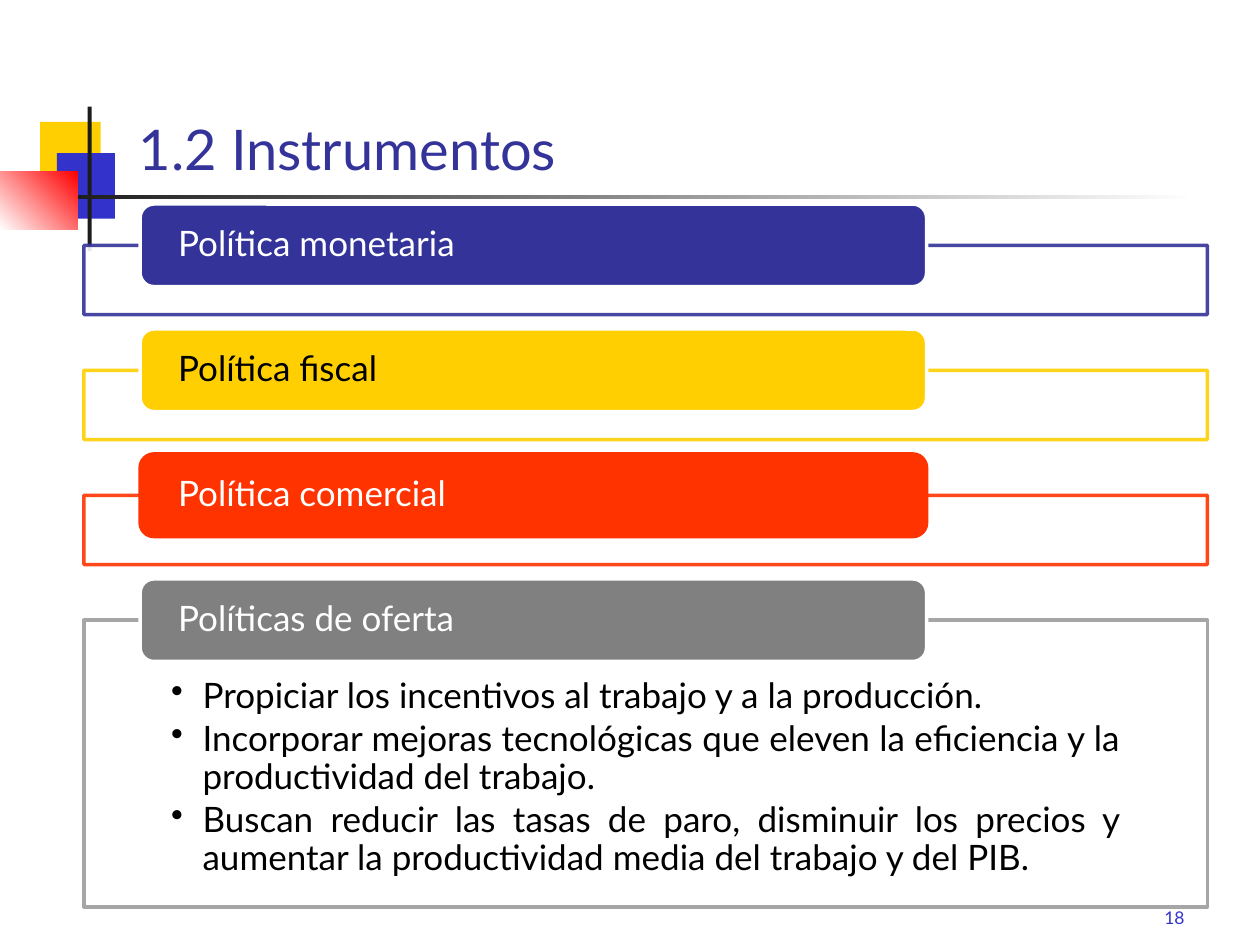
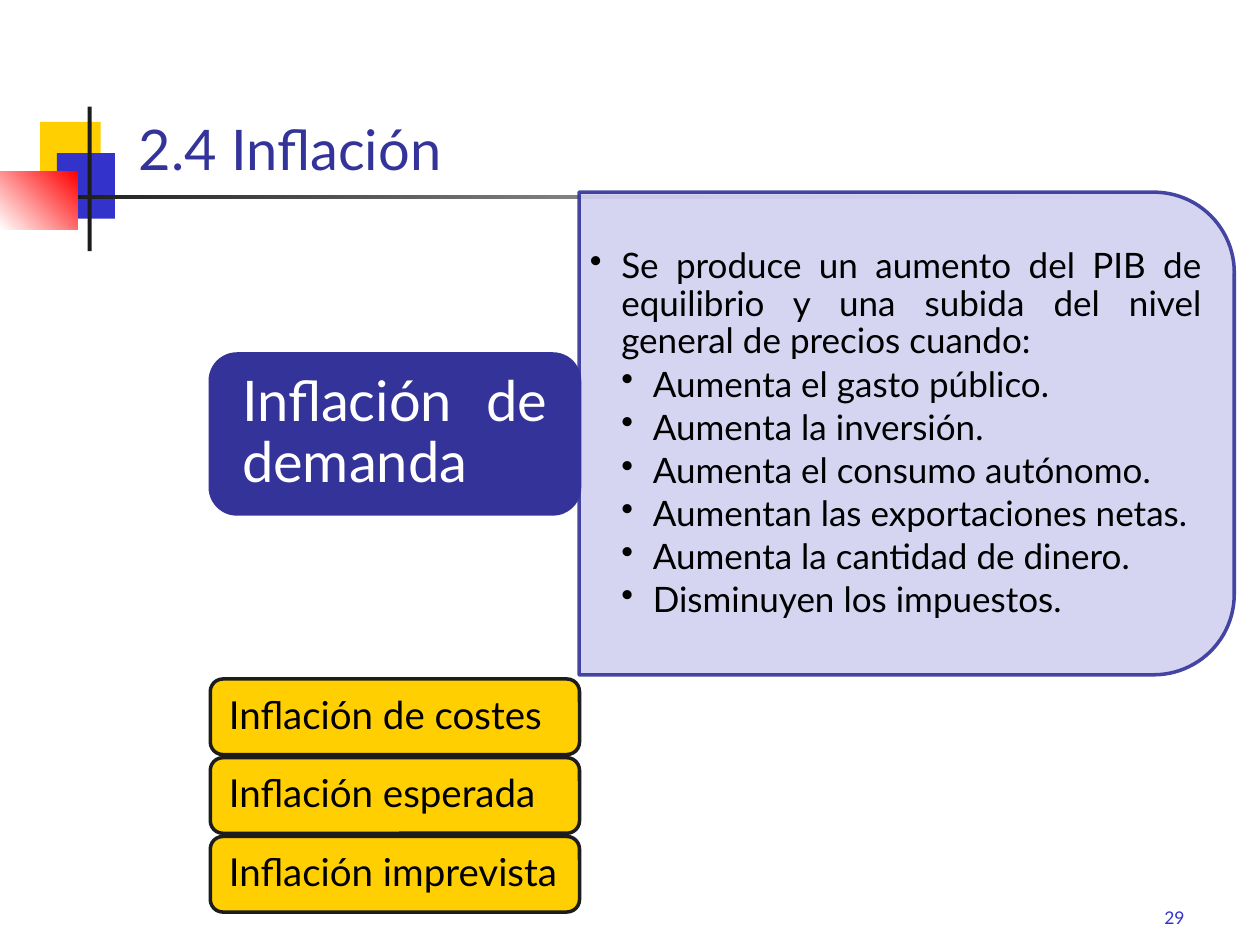
from pptx import Presentation
from pptx.dml.color import RGBColor
from pptx.enum.shapes import MSO_SHAPE
from pptx.enum.text import MSO_ANCHOR, MSO_AUTO_SIZE, PP_ALIGN
from pptx.oxml.ns import qn
from pptx.util import Pt
from lxml import etree

RECT = MSO_SHAPE.RECTANGLE
ROUNDED = MSO_SHAPE.ROUNDED_RECTANGLE
TWO_ROUNDED = MSO_SHAPE.ROUND_2_SAME_RECTANGLE
TOP, MIDDLE, BOTTOM = MSO_ANCHOR.TOP, MSO_ANCHOR.MIDDLE, MSO_ANCHOR.BOTTOM
LEFT, RIGHT, JUSTIFY = PP_ALIGN.LEFT, PP_ALIGN.RIGHT, PP_ALIGN.JUSTIFY
NO_AUTOFIT = MSO_AUTO_SIZE.NONE

WHITE = RGBColor(0xFF, 0xFF, 0xFF)
BLACK = RGBColor(0, 0, 0)
INK = RGBColor(0x1C, 0x1C, 0x1C)
NAVY = RGBColor(0x33, 0x33, 0x99)
BLUE = RGBColor(0x33, 0x33, 0xCC)
LAVENDER = RGBColor(0xD1, 0xD1, 0xF0)
YELLOW = RGBColor(0xFF, 0xCF, 0x01)
ORANGE = RGBColor(0xFF, 0x33, 0x00)
RED = RGBColor(0xFF, 0, 0)
GRAY = RGBColor(0x80, 0x80, 0x80)
SILVER = RGBColor(0xA6, 0xA6, 0xA6)
FONT = "Lato"
BULLET_INDENT = 18


def write(shape, lines, size=20, color=BLACK, align=JUSTIFY, anchor=MIDDLE,
          insets=(7.2, 3.6, 7.2, 3.6), spacing=0.9, after=0, bulleted=False):
    frame = shape.text_frame
    frame.word_wrap = True
    frame.auto_size = NO_AUTOFIT
    frame.vertical_anchor = anchor
    frame.margin_left, frame.margin_top, frame.margin_right, frame.margin_bottom = map(Pt, insets)
    for index, (level, text) in enumerate(lines):
        paragraph = frame.add_paragraph() if index else frame.paragraphs[0]
        paragraph.alignment = align
        paragraph.line_spacing = spacing
        paragraph.space_after = Pt(after)
        if bulleted:
            paragraph.level = level
            properties = paragraph._p.get_or_add_pPr()
            properties.set("marL", str(Pt(BULLET_INDENT * level)))
            properties.set("indent", str(-Pt(BULLET_INDENT)))
            etree.SubElement(properties, qn("a:buChar")).set("char", "•")
        run = paragraph.add_run()
        run.text = text
        run.font.size = Pt(size)
        run.font.name = FONT
        run.font.color.rgb = color


def block(slide, preset, box, fill=None, line=None, opacity=100, gradient=None):
    shape = slide.shapes.add_shape(preset, *map(Pt, box))
    shape.shadow.inherit = False
    if gradient:
        start, end, angle = gradient
        shape.fill.gradient()
        shape.fill.gradient_angle = angle
        for stop, color in zip(shape.fill.gradient_stops, (start, end)):
            stop.color.rgb = color
    elif fill is None:
        shape.fill.background()
    else:
        shape.fill.solid()
        shape.fill.fore_color.rgb = fill
    if line is None:
        shape.line.fill.background()
    else:
        shape.line.color.rgb = line
        shape.line.width = Pt(2)
    if opacity < 100:
        for color in shape._element.spPr.iter(qn("a:srgbClr")):
            etree.SubElement(color, qn("a:alpha")).set("val", str(opacity * 1000))
    return shape


deck = Presentation()
deck.slide_width, deck.slide_height = Pt(720), Pt(540)
slides = []

for heading, number in (("1.2 Instrumentos", "18"), ("2.4 Inflación", "29")):
    slide = deck.slides.add_slide(deck.slide_layouts[5])
    slides.append(slide)
    block(slide, RECT, (23, 69.6, 34.5, 37.5), YELLOW)
    block(slide, RECT, (32.6, 87.5, 33.1, 37.5), BLUE)
    block(slide, RECT, (50, 61, 2.4, 82.6), INK)
    block(slide, RECT, (36, 111.5, 648, 2.3), gradient=(INK, WHITE, 0))
    block(slide, RECT, (0, 97.8, 44.4, 33.4), gradient=(WHITE, RED, 45))

    page = slide.shapes.add_textbox(Pt(534), Pt(498), Pt(150), Pt(36))
    write(page, [(0, number)], size=10, color=BLUE, align=RIGHT, anchor=BOTTOM, spacing=1.0)

    title = slide.shapes.title
    title.left, title.top, title.width, title.height = Pt(72), Pt(24), Pt(612), Pt(84)
    write(title, [(0, heading)], size=32, color=NAVY, align=LEFT, anchor=BOTTOM)

instruments, inflation = slides

supply_measures = [
    (1, "Propiciar los incentivos al trabajo y a la producción."),
    (1, "Incorporar mejoras tecnológicas que eleven la eficiencia y la productividad del trabajo."),
    (1, "Buscan reducir las tasas de paro, disminuir los precios y aumentar la "
        "productividad media del trabajo y del PIB."),
]
policies = [
    ("Política monetaria", NAVY, NAVY, WHITE, WHITE, []),
    ("Política fiscal", YELLOW, YELLOW, WHITE, BLACK, []),
    ("Política comercial", ORANGE, ORANGE, ORANGE, WHITE, []),
    ("Políticas de oferta", GRAY, SILVER, WHITE, WHITE, supply_measures),
]
for index, (policy, fill, frame_line, label_line, text_color, measures) in enumerate(policies):
    top = 140.2 + 71.4 * index
    if measures:
        panel = block(instruments, RECT, (48, top, 642, 163.8), line=frame_line)
        write(panel, measures, anchor=TOP, insets=(49.8, 33.3, 49.8, 11.4), after=3, bulleted=True)
    else:
        panel = block(instruments, RECT, (48, top, 642, 39.6), WHITE, frame_line, opacity=90)
        panel.line.color.rgb = frame_line
    label = block(instruments, ROUNDED, (80.1, top - 23.6, 449.4, 47.2), fill, label_line)
    write(label, [(0, policy)], color=text_color, insets=(19.4, 0, 19.4, 0))

demand_panel = block(inflation, TWO_ROUNDED, (380.2, 60.5, 275.8, 374.4), LAVENDER, NAVY, opacity=90)
demand_panel.rotation = 90
demand_causes = inflation.shapes.add_textbox(Pt(331.2), Pt(123.8), Pt(361.4), Pt(248.4))
write(demand_causes, [
    (1, "Se produce un aumento del PIB de equilibrio y una subida del nivel general de precios cuando:"),
    (2, "Aumenta el gasto público."),
    (2, "Aumenta la inversión."),
    (2, "Aumenta el consumo autónomo."),
    (2, "Aumentan las exportaciones netas."),
    (2, "Aumenta la cantidad de dinero."),
    (2, "Disminuyen los impuestos."),
], insets=(5.8, 3, 5.8, 3), after=3, bulleted=True)

demand = block(inflation, ROUNDED, (120.2, 202.3, 211, 91.4), NAVY, NAVY)
write(demand, [(0, "Inflación de demanda")], size=32, color=WHITE, insets=(13.7, 9.4, 13.7, 9.4))

other_types = ("Inflación de costes", "Inflación esperada", "Inflación imprevista")
for index, inflation_type in enumerate(other_types):
    label = block(inflation, ROUNDED, (120.2, 388 + 45 * index, 211, 43.2), YELLOW, INK)
    write(label, [(0, inflation_type)], size=22, insets=(8.6, 5.6, 8.6, 5.6))

deck.save("out.pptx")
